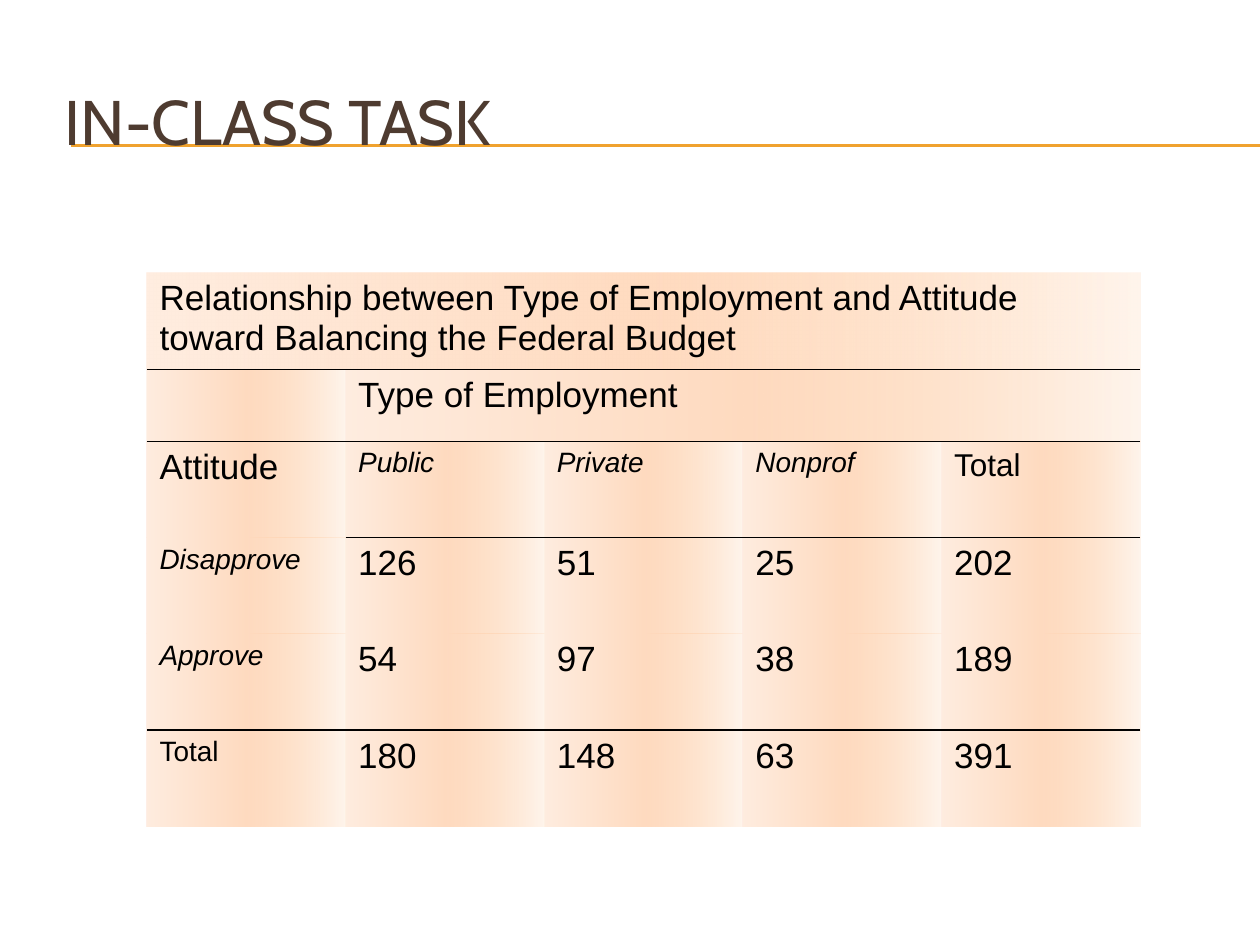
from lxml.etree import SubElement
from pptx import Presentation
from pptx.dml.color import RGBColor
from pptx.enum.shapes import MSO_CONNECTOR
from pptx.enum.text import MSO_ANCHOR
from pptx.oxml.ns import qn
from pptx.util import Pt

INK = "000000"
PLAIN_TABLE_STYLE = "{2D5ABB26-0587-4C30-8999-92F81FD0307C}"
# Position in %, colour, opacity in %
CELL_GRADIENT = [(0, "FFC798", 18), (50, "FFDBC0", 100), (100, "FFEDE0", 100)]


def color(value):
    return RGBColor.from_string(value)


def add_element(parent, tag, **attributes):
    return SubElement(parent, qn(tag), {k: str(v) for k, v in attributes.items()})


class SlideBuilder:
    def __init__(self, slide):
        self.slide = slide
        self.title_font = "Cabin"
        self.body_font = "Arial"

    def run(self, para, text, size, font, tint, italic=False):
        span = para.add_run()
        span.text = text
        span.font.size = Pt(size)
        span.font.name = font
        span.font.italic = italic
        span.font.color.rgb = color(tint)

    def title(self, text, left, top, width, height):
        box = self.slide.shapes.add_textbox(Pt(left), Pt(top), Pt(width), Pt(height))
        frame = box.text_frame
        frame.word_wrap = True
        frame.vertical_anchor = MSO_ANCHOR.MIDDLE
        self.run(frame.paragraphs[0], text, 36, self.title_font, "4E3B30")

    def rule(self, left, right, y):
        line = self.slide.shapes.add_connector(
            MSO_CONNECTOR.STRAIGHT, Pt(left), Pt(y), Pt(right), Pt(y))
        line.line.color.rgb = color("F0A22E")
        line.line.width = Pt(0.75)
        add_element(line._element.spPr, "a:effectLst")

    def table(self, left, top, column_widths, row_heights):
        frame = self.slide.shapes.add_table(
            len(row_heights), len(column_widths), Pt(left), Pt(top),
            Pt(sum(column_widths)), Pt(sum(row_heights)))
        table = frame.table
        table.first_row = table.horz_banding = False
        table._tbl.tblPr.find(qn("a:tableStyleId")).text = PLAIN_TABLE_STYLE
        for column, width in zip(table.columns, column_widths):
            column.width = Pt(width)
        for row, height in zip(table.rows, row_heights):
            row.height = Pt(height)
        return table

    def cell(self, cell, text, size, italic, borders):
        if text:
            self.run(cell.text_frame.paragraphs[0], text, size,
                     self.body_font, INK, italic)
        properties = cell._tc.get_or_add_tcPr()
        # Borders come before the fill
        for side in borders:
            border = add_element(properties, f"a:{side}", w=Pt(1))
            solid = add_element(border, "a:solidFill")
            add_element(solid, "a:srgbClr", val=INK)
        gradient = add_element(properties, "a:gradFill", rotWithShape=1)
        stops = add_element(gradient, "a:gsLst")
        for position, tint, opacity in CELL_GRADIENT:
            stop = add_element(stops, "a:gs", pos=position * 1000)
            shade = add_element(stop, "a:srgbClr", val=tint)
            if opacity < 100:
                add_element(shade, "a:alpha", val=opacity * 1000)
        add_element(gradient, "a:lin", ang=180 * 60000, scaled=0)


def text_style(row, column):
    """Size and italic of a table cell."""
    if row == 2 and column == 4:
        return 18, False
    if row == 2 and column > 0:
        return 16, True
    if row > 2 and column == 0:
        return 16, row < 5
    return 20, False


def main():
    deck = Presentation()
    deck.slide_width, deck.slide_height = Pt(720), Pt(540)
    page = SlideBuilder(deck.slides.add_slide(deck.slide_layouts[6]))

    # Heading with its double rule
    for y in (82.8, 83.5):
        page.rule(40.5, 720, y)
    page.title("IN-CLASS TASK", 30, 12.5, 660, 113)

    # Cross table of attitude and employment
    rows = [
        ["Relationship between Type of Employment and Attitude "
         "toward Balancing the Federal Budget", "", "", "", ""],
        ["", "Type of Employment", "", "", ""],
        ["Attitude", "Public", "Private", "Nonprof", "Total"],
        ["Disapprove", "126", "51", "25", "202"],
        ["Approve", "54", "97", "38", "189"],
        ["Total", "180", "148", "63", "391"],
    ]
    table = page.table(84, 156, [113.5] * 5, [55, 41, 55, 55, 55, 55])
    table.cell(0, 0).merge(table.cell(0, 4))
    table.cell(1, 1).merge(table.cell(1, 4))

    # Row that a line runs above, with the column where it starts
    line_starts = {1: 0, 2: 1, 5: 0}
    for r, texts in enumerate(rows):
        for c, text in enumerate(texts):
            borders = [side for side, below in (("lnT", r), ("lnB", r + 1))
                       if c >= line_starts.get(below, len(texts))]
            size, italic = text_style(r, c)
            page.cell(table.cell(r, c), text, size, italic, borders)

    deck.save("out.pptx")


if __name__ == "__main__":
    main()
